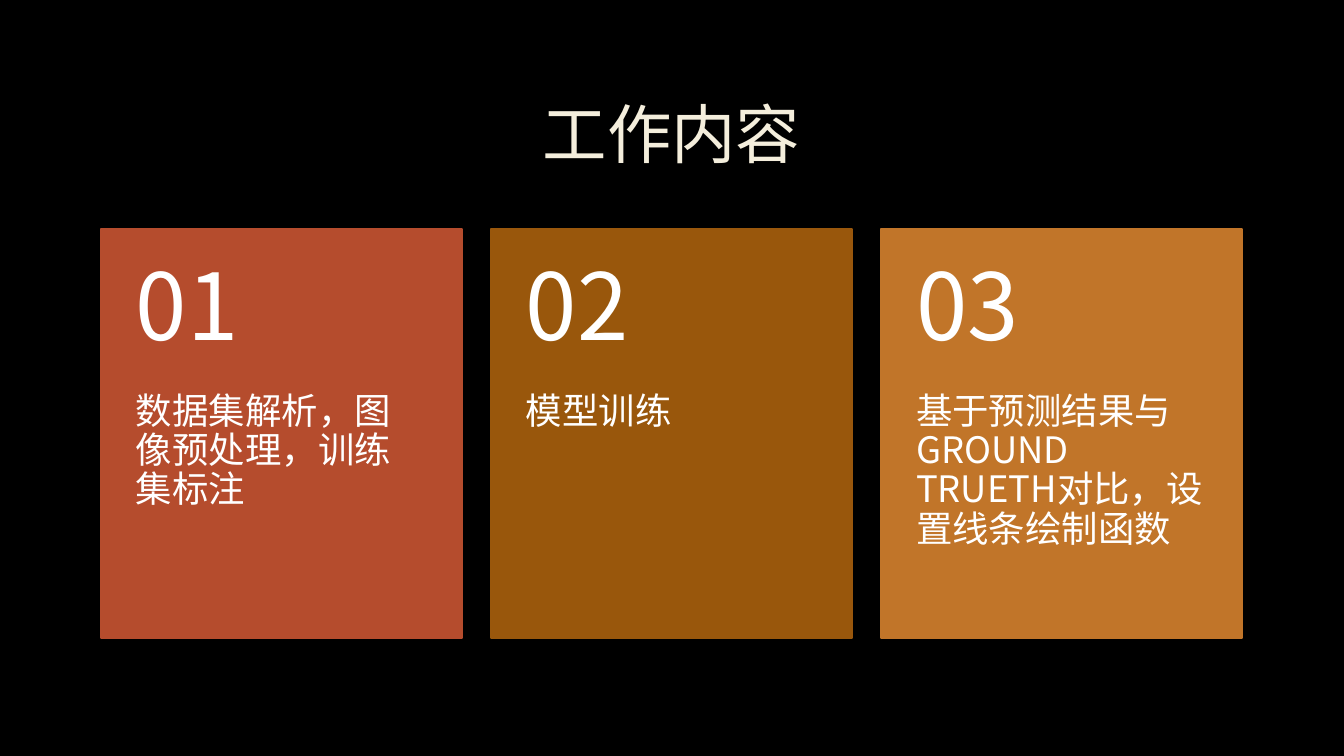
from lxml.etree import SubElement
from pptx import Presentation
from pptx.dml.color import RGBColor
from pptx.enum.shapes import MSO_SHAPE as Shape
from pptx.enum.text import MSO_ANCHOR as Anchor, MSO_AUTO_SIZE as AutoSize, PP_ALIGN as Align
from pptx.oxml import parse_xml
from pptx.oxml.ns import nsdecls, qn
from pptx.util import Pt

PX = 12192000 / 1344
FONT = "Noto Sans CJK SC"
COLORS = {
    "background": "000000",
    "title": "F4EEDC",
    "title_outline": "404040",
    "card_text": "FFFFFF",
    "red": "B54C2D",
    "brown": "99570C",
    "orange": "C17529",
}
TASKS = [
    ("red", "数据集解析，图像预处理，训练集标注"),
    ("brown", "模型训练"),
    ("orange", "基于预测结果与GROUND TRUETH对比，设置线条绘制函数"),
]
CARD_LEFT, CARD_TOP, CARD_WIDTH, CARD_HEIGHT = 101, 229, 361, 409
CARD_PITCH = 390
NUMBER_HEIGHT = 164


def emu(*lengths):
    return [round(length * PX) for length in lengths]


def color(key):
    return RGBColor.from_string(COLORS[key])


def write(frame, text, size, color_key, align=Align.LEFT, anchor=Anchor.TOP):
    frame.word_wrap = True
    frame.auto_size = AutoSize.NONE
    frame.vertical_anchor = anchor
    frame.text = text
    paragraph = frame.paragraphs[0]
    paragraph.alignment = align
    paragraph.line_spacing = 0.9
    font = paragraph.runs[0].font
    font.size = Pt(size)
    font.name = FONT
    font.color.rgb = color(color_key)
    # East Asian glyphs use the same font
    run_properties = paragraph.runs[0]._r.get_or_add_rPr()
    SubElement(run_properties, qn("a:ea")).set("typeface", FONT)
    return run_properties


def add_title(slide, text):
    title = slide.shapes.title
    title.left, title.top, title.width, title.height = emu(101, 68, 1141, 139)
    run_properties = write(title.text_frame, text, 46, "title", Align.CENTER, Anchor.MIDDLE)
    # Faint outline around the letters
    run_properties.insert(0, parse_xml(
        f'<a:ln {nsdecls("a")} w="{Pt(0.75)}"><a:solidFill>'
        f'<a:srgbClr val="{COLORS["title_outline"]}"><a:alpha val="10000"/></a:srgbClr>'
        '</a:solidFill><a:prstDash val="solid"/></a:ln>'))


def add_card_text(card, box, insets, text, size, anchor):
    frame = card.shapes.add_textbox(*emu(*box)).text_frame
    (frame.margin_left, frame.margin_top,
     frame.margin_right, frame.margin_bottom) = emu(*insets)
    write(frame, text, size, "card_text", anchor=anchor)


def add_card(slide, index, color_key, task):
    left = CARD_LEFT + index * CARD_PITCH
    card = slide.shapes.add_group_shape()

    # Coloured panel
    panel = card.shapes.add_shape(
        Shape.RECTANGLE, *emu(left, CARD_TOP, CARD_WIDTH, CARD_HEIGHT))
    panel.shadow.inherit = False
    panel.fill.solid()
    panel.fill.fore_color.rgb = color(color_key)
    panel.line.color.rgb = color(color_key)
    panel.line.width = Pt(1.25)

    # Task below, number above
    task_box = (left, CARD_TOP + NUMBER_HEIGHT, CARD_WIDTH, CARD_HEIGHT - NUMBER_HEIGHT)
    add_card_text(card, task_box, (35, 0, 35, 36), task, 26, Anchor.TOP)
    number_box = (left, CARD_TOP, CARD_WIDTH, NUMBER_HEIGHT)
    add_card_text(card, number_box, (35, 18, 35, 18), f"{index + 1:02d}", 66, Anchor.MIDDLE)


def main():
    deck = Presentation()
    deck.slide_width, deck.slide_height = emu(1344, 756)
    slide = deck.slides.add_slide(deck.slide_layouts[5])
    slide.background.fill.solid()
    slide.background.fill.fore_color.rgb = color("background")

    add_title(slide, "工作内容")
    for index, (color_key, task) in enumerate(TASKS):
        add_card(slide, index, color_key, task)

    deck.save("out.pptx")


if __name__ == "__main__":
    main()
